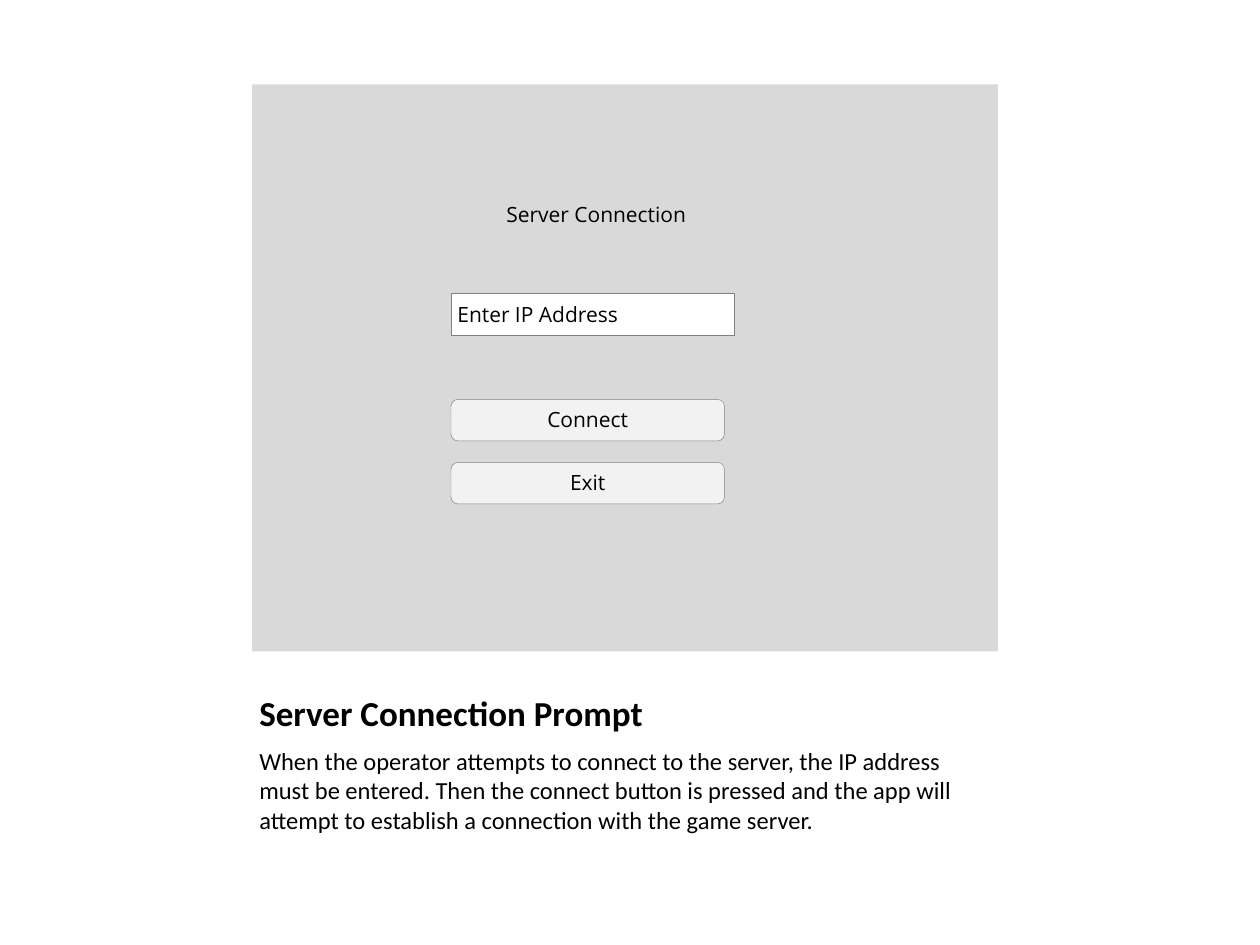
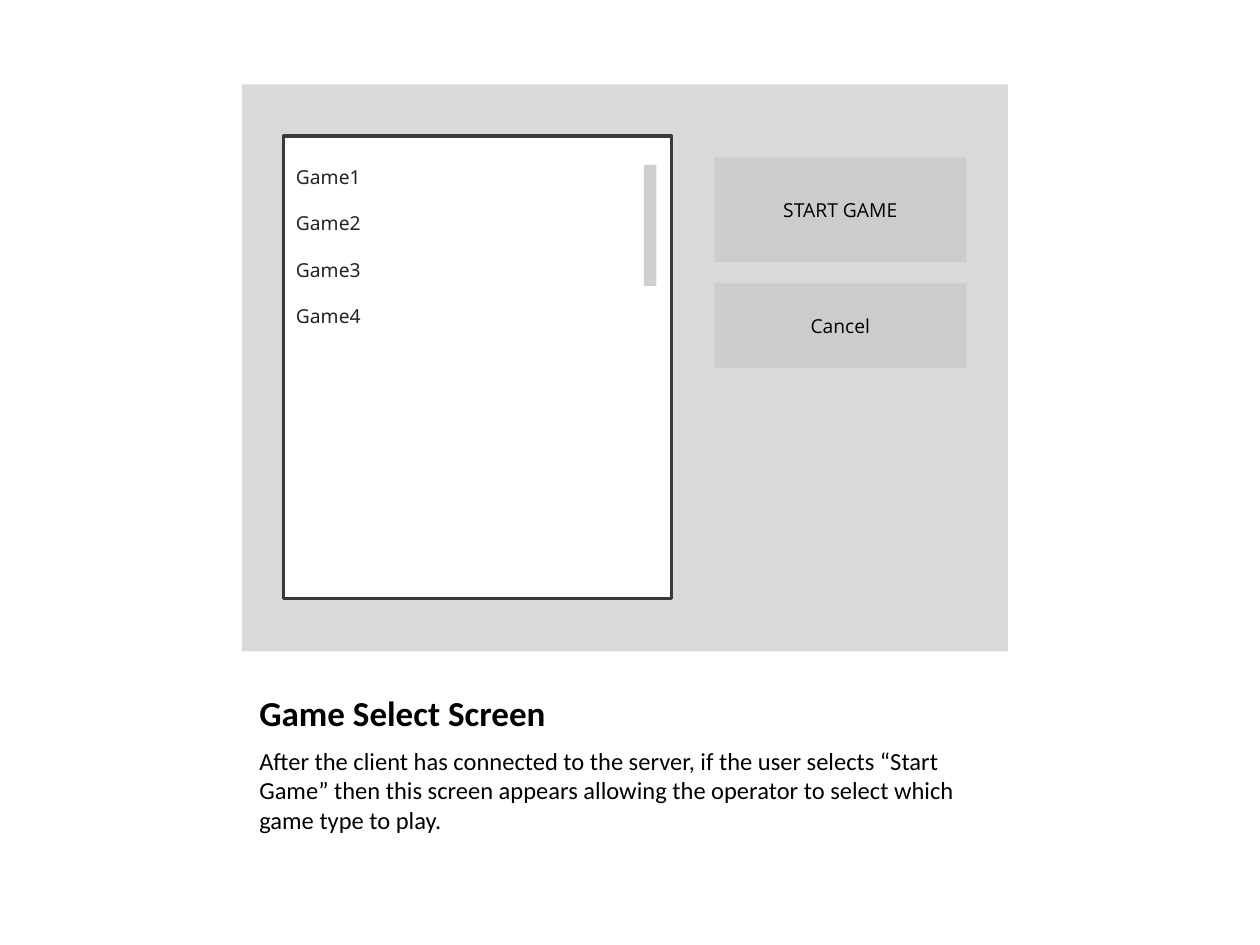
from pptx import Presentation
from pptx.dml.color import RGBColor
from pptx.enum.shapes import MSO_SHAPE as Shape
from pptx.enum.text import MSO_ANCHOR as Anchor, PP_ALIGN as Align
from pptx.util import Inches, Pt

COLORS = {
    "text": "000000", "item": "232323", "screen": "D9D9D9", "field": "FFFFFF",
    "button": "F2F2F2", "edge": "808080", "list_edge": "393939",
    "tile": "CCCCCC", "scrollbar": "CFCFCF",
}
INSETS = (0.1, 0.05, 0.1, 0.05)


def color(name):
    """Return the named palette colour."""
    return RGBColor.from_string(COLORS[name])


def write(sp, lines, size, font="Open Sans", ink="text", bold=False,
          anchor=Anchor.MIDDLE, insets=INSETS, wrap=True, **para_format):
    """Fill a shape with one paragraph per line, all in one format."""
    tf = sp.text_frame
    tf.word_wrap, tf.vertical_anchor = wrap, anchor
    for side, inset in zip(("left", "top", "right", "bottom"), insets):
        setattr(tf, f"margin_{side}", Inches(inset))
    tf.text = "\n".join(lines)
    for p in tf.paragraphs:
        for name, value in ({"alignment": Align.LEFT} | para_format).items():
            setattr(p, name, value)
        for r in p.runs:
            for name, value in {"name": font, "size": Pt(size), "bold": bold}.items():
                setattr(r.font, name, value)
            r.font.color.rgb = color(ink)


def add_text(s, x, y, w, h, text, size, **style):
    """Add a text box with a single paragraph."""
    sp = s.shapes.add_textbox(*map(Inches, (x, y, w, h)))
    write(sp, [text], size, **style)


def add_box(s, x, y, w, h, fill, edge=None, width=0.25, kind=Shape.RECTANGLE):
    """Add a flat shape with an optional outline."""
    sp = s.shapes.add_shape(kind, *map(Inches, (x, y, w, h)))
    sp.shadow.inherit = False
    sp.fill.solid()
    sp.fill.fore_color.rgb = color(fill)
    if edge:
        sp.line.color.rgb = color(edge)
        sp.line.width = Pt(width)
    else:
        sp.line.fill.background()
    return sp


def add_caption(s, title, body, x=1.96, y=5.25, w=6):
    """Place the bold title and the description under the screen."""
    add_text(s, x, y, w, 0.62, title, 20, font="Calibri", bold=True,
             anchor=Anchor.BOTTOM)
    add_text(s, x, y + 0.62, w, 0.88, body, 14, font="Calibri",
             anchor=Anchor.TOP, space_before=Pt(2.8))


def connection_screen(s, x, y, w, h):
    """Draw the connection prompt: heading, address field and two buttons."""
    add_box(s, x, y, w, h, "screen")
    add_text(s, x + 1.92, y + 0.91, 2.08, 0.25, "Server Connection", 12,
             insets=(0.1, 0.02, 0.1, 0.03))
    left = x + 1.58
    field = add_box(s, left, y + 1.66, 2.25, 0.33, "field", "edge")
    write(field, ["Enter IP Address"], 12, insets=(0.05, 0.02, 0.05, 0.02), wrap=False)
    for i, label in enumerate(("Connect", "Exit")):
        button = add_box(s, left, y + 2.5 + 0.5 * i, 2.17, 0.33, "button", "edge",
                         kind=Shape.ROUNDED_RECTANGLE)
        write(button, [label], 12, insets=(0.1, 0, 0.1, 0.01), alignment=Align.CENTER)


def game_list(s, x, y, w, h):
    """Draw the list of games with its scrollbar."""
    box = add_box(s, x, y, w, h, "field", "list_edge", 1.75)
    write(box, [f"Game{n}" for n in range(1, 5)], 11, font="Noto Sans", ink="item",
          anchor=Anchor.TOP, line_spacing=2.0)
    add_box(s, x + w - 0.22, y + 0.23, 0.1, 0.96, "scrollbar")


def select_screen(s, x, y, w, h):
    """Draw the game selection: list on the left, buttons on the right."""
    add_box(s, x, y, w, h, "screen")
    game_list(s, x + 0.33, y + 0.41, 3.08, 3.67)
    top = y + 0.58
    for label, height in (("START GAME", 0.83), ("Cancel", 0.67)):
        tile = add_box(s, x + 3.75, top, 2, height, "tile")
        write(tile, [label], 11, alignment=Align.CENTER)
        top += height + 0.17


SLIDES = [
    ("Server Connection Prompt",
     "When the operator attempts to connect to the server, the IP address must be "
     "entered. Then the connect button is pressed and the app will attempt to "
     "establish a connection with the game server.",
     connection_screen, (2, 0.67, 5.92, 4.5)),
    ("Game Select Screen",
     "After the client has connected to the server, if the user selects “Start "
     "Game” then this screen appears allowing the operator to select which game "
     "type to play.",
     select_screen, (1.92, 0.67, 6.08, 4.5)),
]

prs = Presentation()
prs.slide_width, prs.slide_height = Inches(10), Inches(7.5)
for title, body, draw_screen, box in SLIDES:
    s = prs.slides.add_slide(prs.slide_layouts[6])
    add_caption(s, title, body)
    draw_screen(s, *box)
prs.save("out.pptx")
